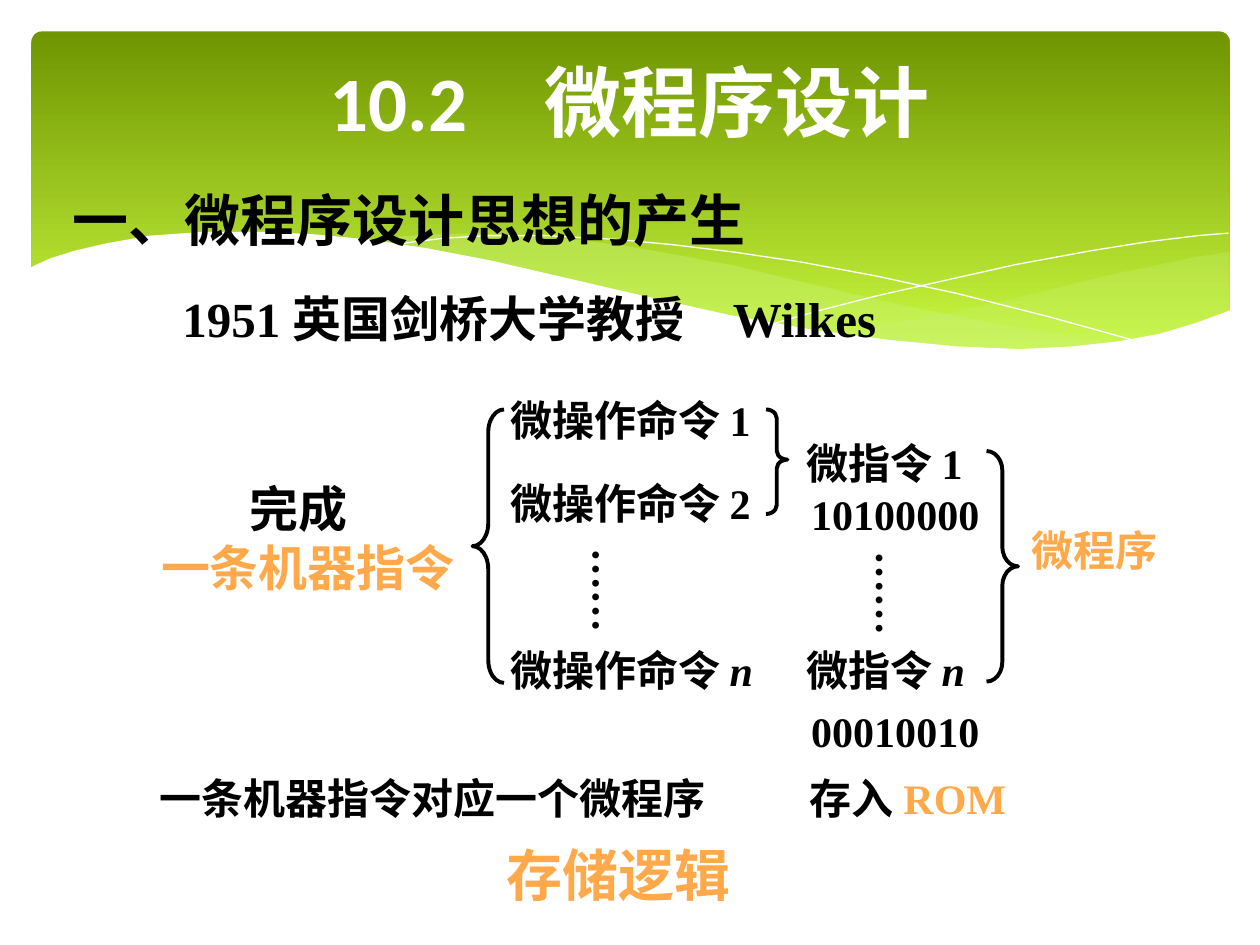
from pptx import Presentation
from pptx.dml.color import RGBColor as RGB
from pptx.enum.shapes import MSO_SHAPE as Kind
from pptx.enum.text import MSO_ANCHOR as Anchor, PP_ALIGN as Align
from pptx.oxml.ns import qn
from pptx.util import Pt
from lxml.etree import SubElement as Sub

PX = 9144
theme = dict(
    black=RGB(0, 0, 0), white=RGB(255, 255, 255), gold=RGB.from_string("FFA94A"),
    lime=RGB.from_string("CAF278"), dark=RGB.from_string("6F9500"),
    light=RGB.from_string("D0FF44"), big=44, head=32, lead=28, body=24,
    font="Times New Roman", top="Calibri")

deck = Presentation()
deck.slide_width, deck.slide_height = 1000 * PX, 750 * PX
shapes = deck.slides.add_slide(deck.slide_layouts[6]).shapes


def write(box, rows, size="body", font="font", wrap=False, pad=(10, 5)):
    item = shapes.add_textbox(*[v * PX for v in box])
    frame = item.text_frame
    side, edge = (v * PX for v in pad)
    form = dict(word_wrap=wrap, margin_left=side, margin_right=side,
                margin_top=edge, margin_bottom=edge)
    for key, val in form.items():
        setattr(frame, key, val)
    for i, row in enumerate(rows):
        para = frame.add_paragraph() if i else frame.paragraphs[0]
        for text, tone, slant in row:
            run = para.add_run()
            run.text = text
            look = dict(name=theme[font], size=Pt(theme[size]), bold=True, italic=slant)
            for key, val in look.items():
                setattr(run.font, key, val)
            run.font.color.rgb = theme[tone]
    return frame


def trace(dots, tone, alpha=100, closed=True):
    pen = shapes.build_freeform(*dots[0], scale=PX)
    pen.add_line_segments(dots[1:], close=closed)
    item = pen.convert_to_shape()
    item.shadow.inherit = False
    if closed:
        item.fill.solid()
        item.fill.fore_color.rgb = theme[tone]
        item.line.fill.background()
    else:
        item.fill.background()
        item.line.color.rgb = theme[tone]
        item.line.width = 0
    if alpha < 100:
        for node in item.element.spPr.iter(qn("a:srgbClr")):
            Sub(node, qn("a:alpha"), val=str(alpha * 1000))


band = shapes.add_shape(Kind.ROUNDED_RECTANGLE, *[v * PX for v in (25, 25, 951, 270)])
band.adjustments[0] = 0.03
band.shadow.inherit = False
band.line.fill.background()
band.fill.gradient()
band.fill.gradient_angle = 270
for stop, tone, place in zip(band.fill.gradient_stops, ("dark", "light"), (0, 1)):
    stop.color.rgb, stop.position = theme[tone], place

trace([(976, 200), (948, 204), (921, 210), (891, 216), (861, 223), (805, 237),
       (753, 248), (706, 257), (661, 265), (691, 269), (718, 273), (745, 275),
       (769, 277), (803, 278), (835, 277), (863, 275), (889, 272), (913, 267),
       (935, 262), (963, 252), (976, 247)], "lime", 29)
trace([(893, 273), (837, 265), (775, 254), (706, 240), (629, 222), (584, 211),
       (541, 203), (501, 196), (464, 191), (420, 187), (380, 185), (344, 186),
       (313, 188), (286, 191), (323, 196), (362, 203), (404, 211), (449, 222),
       (530, 240), (601, 255), (665, 266), (722, 274), (773, 278), (818, 279),
       (857, 277)], "lime", 40)
trace([(309, 195), (328, 192), (353, 189), (387, 187), (433, 187), (489, 190),
       (532, 194), (582, 200), (636, 208), (695, 219), (760, 233), (831, 251),
       (907, 272)], "white", closed=False)
trace([(613, 257), (652, 246), (695, 235), (748, 223), (806, 210), (866, 199),
       (910, 192), (951, 187), (975, 185)], "white", closed=False)
trace([(977, 246), (950, 256), (920, 265), (887, 271), (850, 275), (809, 277),
       (761, 275), (708, 270), (647, 262), (579, 250), (503, 233), (447, 220),
       (391, 207), (339, 197), (292, 190), (250, 186), (211, 184), (161, 184),
       (119, 187), (85, 193), (59, 199), (40, 205), (29, 210), (23, 213),
       (23, 329), (977, 329)], "white")

title = write((75, 17, 850, 125), [[("10.2　微程序设计", "white", False)]],
              "big", "top", True)
title.vertical_anchor = Anchor.MIDDLE
title.paragraphs[0].alignment = Align.CENTER

write((48, 142, 668, 64), [[("一、微程序设计思想的产生", "black", False)]], "head", wrap=True)
write((135, 224, 577, 57), [[("1951 英国剑桥大学教授　Wilkes", "black", False)]], "lead")
goal = write((118, 375, 253, 104), [[("完成", "black", False)],
                                    [("一条机器指令", "gold", False)]], "lead")
goal.paragraphs[0]._p.get_or_add_pPr().set("marL", str(70 * PX))

for x, y, wide, text, mark in (
        (395, 308, 219, "微操作命令 ", "1"), (395, 374, 219, "微操作命令 ", "2"),
        (395, 507, 221, "微操作命令 ", "n"), (630, 342, 152, "微指令 ", "1"),
        (630, 507, 154, "微指令 ", "n")):
    write((x, y, wide, 50), [[(text, "black", False), (mark, "black", mark == "n")]])

for x, y, wide, text, tone in (
        (634, 383, 153, "10100000", "black"), (634, 555, 153, "00010010", "black"),
        (809, 411, 120, "微程序", "gold"),
        (117, 608, 453, "一条机器指令对应一个微程序", "black")):
    write((x, y, wide, 50), [[(text, tone, False)]])

for x, y in ((449, 425), (674, 428)):
    dots = write((x, y, 60, 77), [[("……", "black", False)]], pad=(5, 10))
    dots._txBody.bodyPr.set("vert", "eaVert")

for kind, box, bend, mid in (
        (Kind.LEFT_BRACE, (375, 325, 25, 217), 0.72, 0.5),
        (Kind.RIGHT_BRACE, (608, 325, 17, 83), 0.41, 0.48),
        (Kind.RIGHT_BRACE, (783, 358, 25, 183), 0.62, 0.5)):
    brace = shapes.add_shape(kind, *[v * PX for v in box])
    brace.adjustments[0], brace.adjustments[1] = bend, mid
    brace.shadow.inherit = False
    brace.fill.background()
    brace.line.color.rgb = theme["black"]
    brace.line.width = Pt(2.25)

write((633, 608, 200, 50), [[("存入 ", "black", False), ("ROM", "gold", False)]], wrap=True)
write((392, 662, 352, 64), [[("存储逻辑", "gold", False)]], "head", wrap=True)

deck.save("out.pptx")
